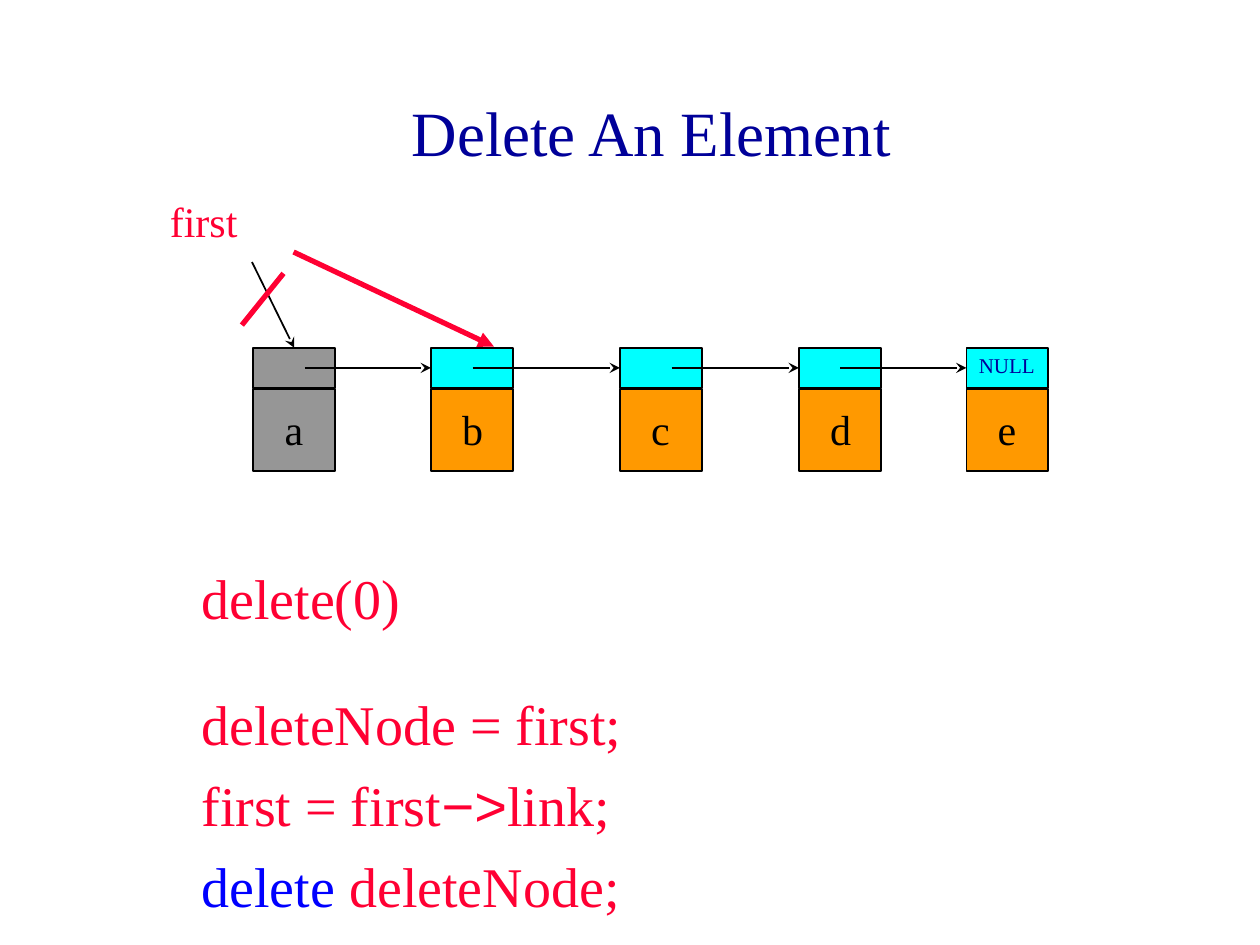
from dataclasses import dataclass

from lxml.etree import SubElement
from pptx import Presentation
from pptx.dml.color import RGBColor
from pptx.enum.shapes import MSO_CONNECTOR, MSO_SHAPE
from pptx.enum.text import MSO_ANCHOR, PP_ALIGN
from pptx.oxml.ns import qn
from pptx.util import Inches, Pt


@dataclass(frozen=True)
class Theme:
    font: str = "Times New Roman"
    symbol_font: str = "Arial"
    navy: str = "000099"
    red: str = "FF0033"
    blue: str = "0000FF"
    black: str = "000000"
    grey: str = "969696"
    orange: str = "FF9900"
    cyan: str = "00FFFF"
    title_size: int = 36
    code_size: int = 32
    label_size: int = 24
    null_size: int = 12
    thin: int = 1
    thick: int = 3


class SlideBuilder:
    def __init__(self, slide, theme):
        self.slide = slide
        self.theme = theme

    def text(self, box, lines, size, color, wrap=True, centered=False, gap=0):
        """Place lines of text; each line is a list of (text, overrides) pieces."""
        frame = self.slide.shapes.add_textbox(*map(Inches, box)).text_frame
        frame.word_wrap = wrap
        if centered:
            frame.vertical_anchor = MSO_ANCHOR.MIDDLE
        for index, pieces in enumerate(lines):
            paragraph = frame.add_paragraph() if index else frame.paragraphs[0]
            paragraph.alignment = PP_ALIGN.CENTER if centered else PP_ALIGN.LEFT
            if index:
                paragraph.space_before = Pt(gap)
            for words, style in pieces:
                run = paragraph.add_run()
                run.text = words
                run.font.size = Pt(size)
                run.font.name = style.get("font", self.theme.font)
                run.font.color.rgb = RGBColor.from_string(style.get("color", color))

    def label(self, box, words, size, color, **options):
        self.text(box, [[(words, {})]], size, color, **options)

    def cell(self, box, fill):
        cell = self.slide.shapes.add_shape(MSO_SHAPE.RECTANGLE, *map(Inches, box))
        cell.shadow.inherit = False
        cell.fill.solid()
        cell.fill.fore_color.rgb = RGBColor.from_string(fill)
        cell.line.color.rgb = RGBColor.from_string(self.theme.black)
        cell.line.width = Pt(self.theme.thin)
        return cell

    def line(self, start, end, color, width, head=None, target=None, side=0):
        """Draw a line, with an optional arrowhead and a shape to join at its end."""
        line = self.slide.shapes.add_connector(
            MSO_CONNECTOR.STRAIGHT, *map(Inches, (*start, *end)))
        if target is not None:
            line.end_connect(target, side)
        line.line.color.rgb = RGBColor.from_string(color)
        line.line.width = Pt(width)
        if head:
            SubElement(line.line._get_or_add_ln(), qn("a:tailEnd"), type=head)
        SubElement(line._element.spPr, qn("a:effectLst"))

    def node(self, left, letter, pointer_fill, data_fill):
        """Draw a list node and return its pointer cell."""
        self.cell((left, 3.09, NODE_WIDTH, NODE_WIDTH), data_fill)
        pointer = self.cell((left, POINTER_TOP, NODE_WIDTH, 0.32), pointer_fill)
        self.label((left + 0.15, 3.15, 0.35, 0.5), letter,
                   self.theme.label_size, self.theme.black, wrap=False)
        return pointer


NODE_WIDTH = 0.65
POINTER_TOP = 2.76
LINK_Y = 2.92
NODE_LEFTS = {"a": 2.01, "b": 3.42, "c": 4.92, "d": 6.34, "e": 7.67}
LINK_STARTS = [2.42, 3.75, 5.33, 6.67]


def main():
    presentation = Presentation()
    presentation.slide_width = Inches(10)
    presentation.slide_height = Inches(7.5)
    slide = presentation.slides.add_slide(presentation.slide_layouts[6])
    theme = Theme()
    builder = SlideBuilder(slide, theme)

    builder.label((0.92, 0.42, 8.5, 1.25), "Delete An Element",
                  theme.title_size, theme.navy, centered=True)
    builder.label((1.5, 4.42, 7, 0.67), "delete(0)", theme.code_size, theme.red)

    pointers = []
    for letter, left in NODE_LEFTS.items():
        removed = letter == "a"
        pointers.append(builder.node(left, letter,
                                     theme.grey if removed else theme.cyan,
                                     theme.grey if removed else theme.orange))
    for start, left, pointer in zip(LINK_STARTS, list(NODE_LEFTS.values())[1:],
                                    pointers[1:]):
        builder.line((start, LINK_Y), (left, LINK_Y), theme.black, theme.thin,
                     head="stealth", target=pointer, side=1)
    builder.label((7.67, 2.75, 0.67, 0.3), "NULL", theme.null_size, theme.navy)

    builder.label((1.25, 1.5, 1.83, 0.5), "first", theme.label_size, theme.red)
    builder.line((2, 2.08), (2.33, POINTER_TOP), theme.black, theme.thin,
                 head="stealth", target=pointers[0], side=0)
    builder.line((2.33, 2), (3.92, 2.75), theme.red, theme.thick, head="triangle")
    builder.line((2.25, 2.17), (1.92, 2.58), theme.red, theme.thick)

    code = [
        [("deleteNode = first;", {})],
        [("first = first", {}), ("−>", {"font": theme.symbol_font}), ("link;", {})],
        [("delete", {"color": theme.blue}), (" deleteNode;", {})],
    ]
    builder.text((1.5, 5.42, 7, 0.75), code, theme.code_size, theme.red, gap=8)

    presentation.save("out.pptx")


if __name__ == "__main__":
    main()
